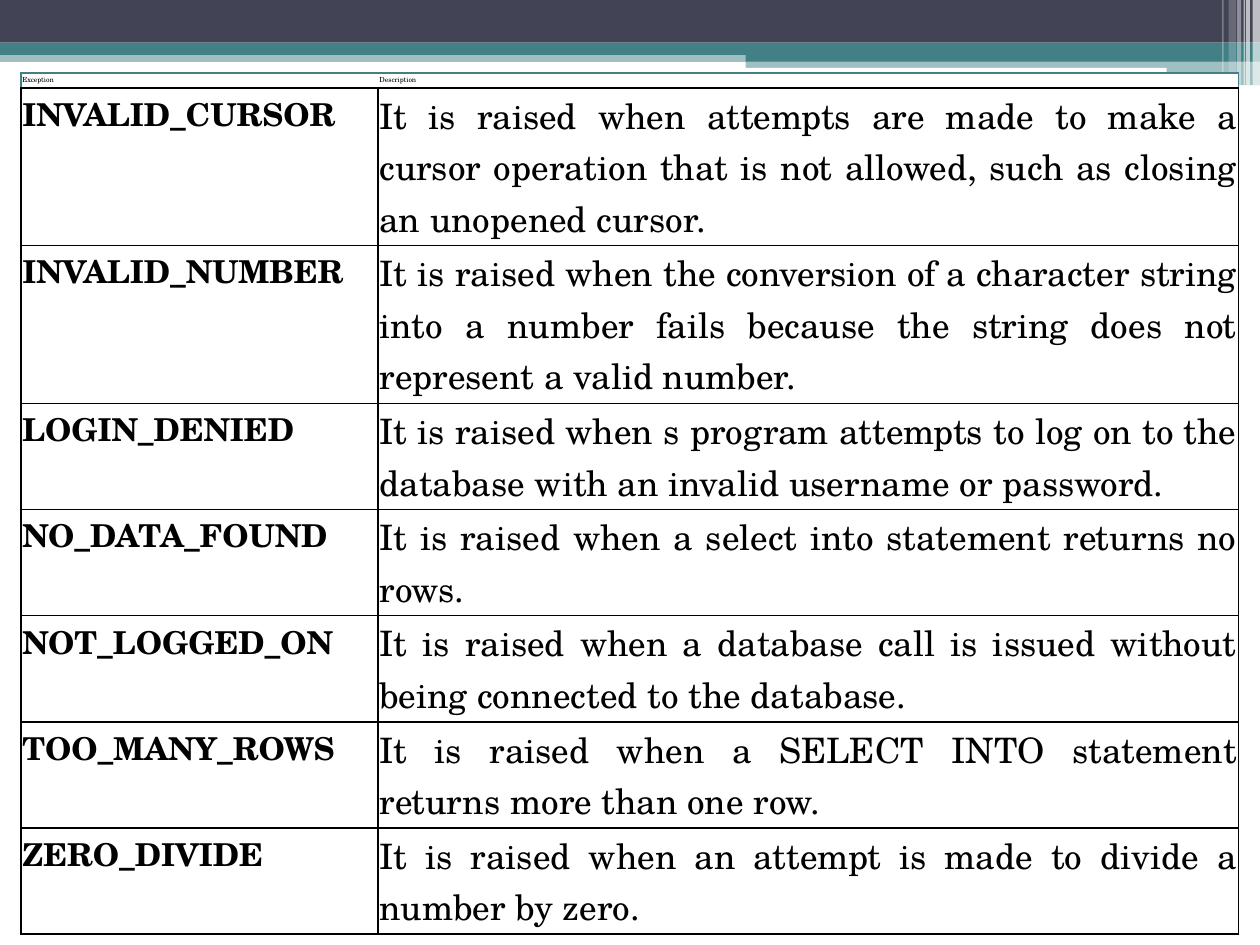
from lxml.etree import SubElement
from pptx import Presentation
from pptx.dml.color import RGBColor
from pptx.enum.shapes import MSO_SHAPE
from pptx.enum.text import PP_ALIGN
from pptx.oxml.ns import qn
from pptx.util import Cm, Pt

BLACK = RGBColor(0x00, 0x00, 0x00)
WHITE = RGBColor(0xFF, 0xFF, 0xFF)
TEAL = RGBColor(0x43, 0x80, 0x86)
SLATE = RGBColor(0x42, 0x44, 0x56)
FONT = "TeX Gyre Schola"

HEADINGS = ("Exception", "Description")
EXCEPTIONS = [
    ("INVALID_CURSOR", "It is raised when attempts are made to make a cursor operation "
     "that is not allowed, such as closing an unopened cursor."),
    ("INVALID_NUMBER", "It is raised when the conversion of a character string into a "
     "number fails because the string does not represent a valid number."),
    ("LOGIN_DENIED", "It is raised when s program attempts to log on to the database "
     "with an invalid username or password."),
    ("NO_DATA_FOUND", "It is raised when a select into statement returns no rows."),
    ("NOT_LOGGED_ON", "It is raised when a database call is issued without being "
     "connected to the database."),
    ("TOO_MANY_ROWS", "It is raised when a SELECT INTO statement returns more than one row."),
    ("ZERO_DIVIDE", "It is raised when an attempt is made to divide a number by zero."),
]

# Sizes in cm
SLIDE_WIDTH, SLIDE_HEIGHT = 25.4, 19.05
TABLE_LEFT, TABLE_TOP = 0.42, 1.47
COLUMN_WIDTHS = (7.2, 17.35)
ROW_HEIGHTS = [0.3] + [3.18] * 2 + [2.14] * 5
CELL_MARGIN = 0.03

# Header bands: left, top, width, height, colour, opacity in percent
BANDS = [
    (0, 1.02, SLIDE_WIDTH, 0.23, TEAL, 50),
    (0, 0, SLIDE_WIDTH, 0.86, SLATE, 100),
    (0, 0.86, SLIDE_WIDTH, 0.25, TEAL, 100),
    (15.03, 0.99, 10.37, 0.25, TEAL, 100),
    (15.03, 1.22, 10.37, 0.5, TEAL, 50),
]
# White rounded rules: left, top, width, height
RULES = [(15.01, 1.37, 8.51, 0.08), (20.47, 1.63, 4.45, 0.1)]
# White stripes down the right edge: left, width, height, opacity in percent
STRIPES = [
    (25.25, 0.15, 1.73, 65),
    (25.12, 0.08, 1.73, 65),
    (25.07, 0.03, 1.73, 60),
    (24.94, 0.08, 1.73, 40),
    (24.77, 0.15, 1.63, 20),
    (24.64, 0.03, 1.63, 30),
]


def add_block(slide, left, top, width, height, colour, opacity=100,
              outline=MSO_SHAPE.RECTANGLE):
    block = slide.shapes.add_shape(outline, Cm(left), Cm(top), Cm(width), Cm(height))
    block.shadow.inherit = False
    block.line.fill.background()
    block.fill.solid()
    block.fill.fore_color.rgb = colour
    if opacity < 100:
        colour_element = block.fill._xPr.find(qn("a:solidFill"))[0]
        SubElement(colour_element, qn("a:alpha"), val=str(opacity * 1000))


def set_borders(cell, **colours):
    """Draw 1 pt cell edges; they must be given in the order L, R, T, B."""
    properties = cell._tc.get_or_add_tcPr()
    for side, colour in colours.items():
        edge = SubElement(properties, qn(f"a:ln{side}"), w=str(Pt(1)))
        if colour is None:
            SubElement(edge, qn("a:noFill"))
        else:
            SubElement(SubElement(edge, qn("a:solidFill")), qn("a:srgbClr"), val=str(colour))


def write(cell, text, size, bold=False, align=PP_ALIGN.JUSTIFY):
    paragraph = cell.text_frame.paragraphs[0]
    paragraph.alignment = align
    run = paragraph.add_run()
    run.text = text
    run.font.name = FONT
    run.font.size = Pt(size)
    run.font.bold = bold
    run.font.color.rgb = BLACK


def add_exception_table(slide):
    table = slide.shapes.add_table(
        len(ROW_HEIGHTS), len(COLUMN_WIDTHS), Cm(TABLE_LEFT), Cm(TABLE_TOP),
        Cm(sum(COLUMN_WIDTHS)), Cm(sum(ROW_HEIGHTS))).table
    table.first_row = table.horz_banding = False
    for column, width in zip(table.columns, COLUMN_WIDTHS):
        column.width = Cm(width)
    for row, height in zip(table.rows, ROW_HEIGHTS):
        row.height = Cm(height)

    name_heading, description_heading = table.rows[0].cells
    set_borders(name_heading, L=TEAL, R=None, T=TEAL, B=BLACK)
    set_borders(description_heading, L=None, R=TEAL, T=TEAL, B=BLACK)
    for cell, heading in zip(table.rows[0].cells, HEADINGS):
        write(cell, heading, 4, align=PP_ALIGN.LEFT)

    for row_index, (name, description) in enumerate(EXCEPTIONS, start=1):
        name_cell, description_cell = table.rows[row_index].cells
        write(name_cell, name, 18, bold=True)
        write(description_cell, description, 20)
        for cell in (name_cell, description_cell):
            set_borders(cell, L=BLACK, R=BLACK, T=BLACK, B=BLACK)

    for cell in table.iter_cells():
        cell.margin_left = cell.margin_right = Cm(CELL_MARGIN)
        cell.margin_top = cell.margin_bottom = Cm(CELL_MARGIN)
        cell.fill.solid()
        cell.fill.fore_color.rgb = WHITE


def main():
    presentation = Presentation()
    presentation.slide_width = Cm(SLIDE_WIDTH)
    presentation.slide_height = Cm(SLIDE_HEIGHT)
    slide = presentation.slides.add_slide(presentation.slide_layouts[6])
    for band in BANDS:
        add_block(slide, *band)
    for rule in RULES:
        add_block(slide, *rule, WHITE, outline=MSO_SHAPE.ROUNDED_RECTANGLE)
    for left, width, height, opacity in STRIPES:
        add_block(slide, left, 0, width, height, WHITE, opacity)
    add_exception_table(slide)
    presentation.save("out.pptx")


if __name__ == "__main__":
    main()
